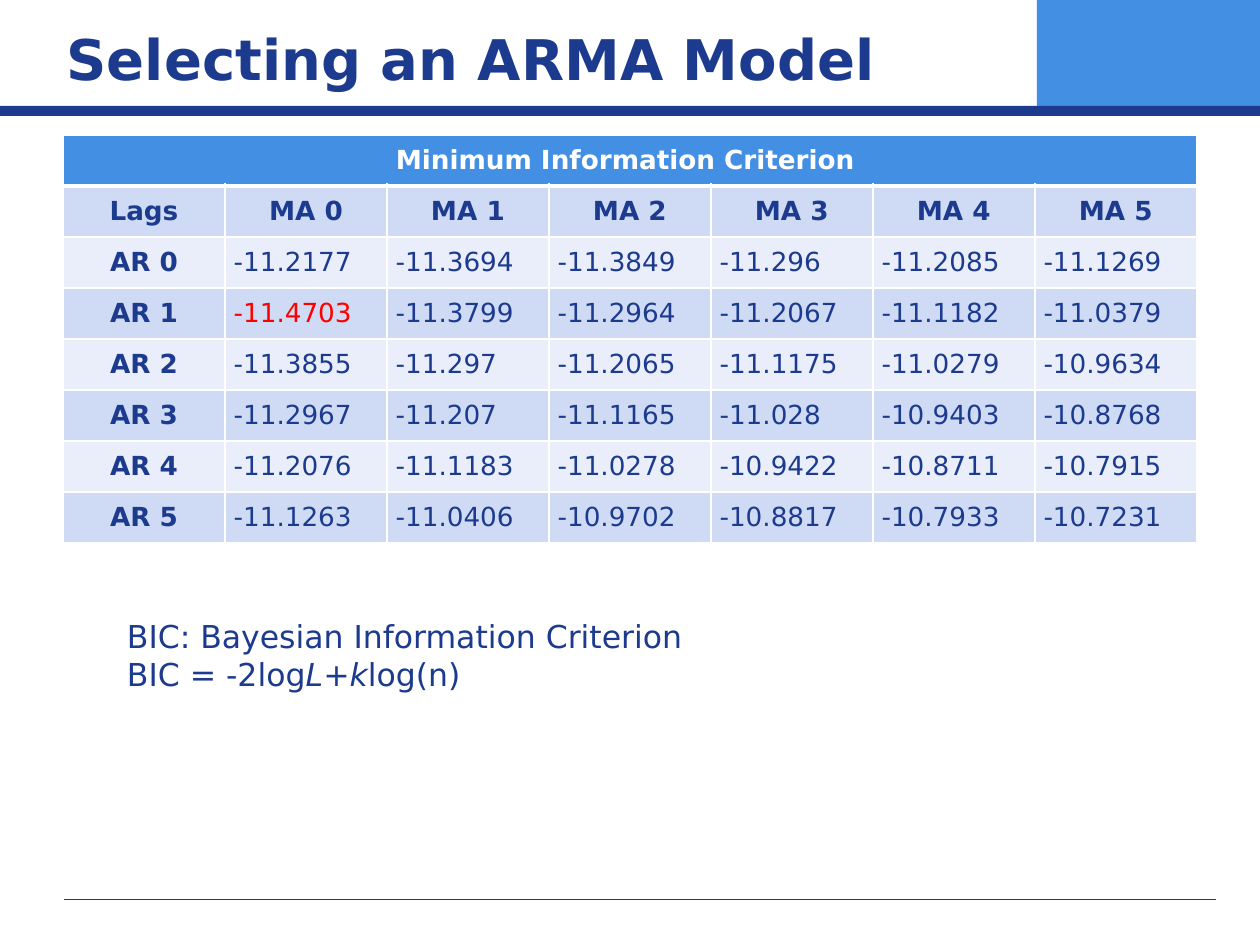
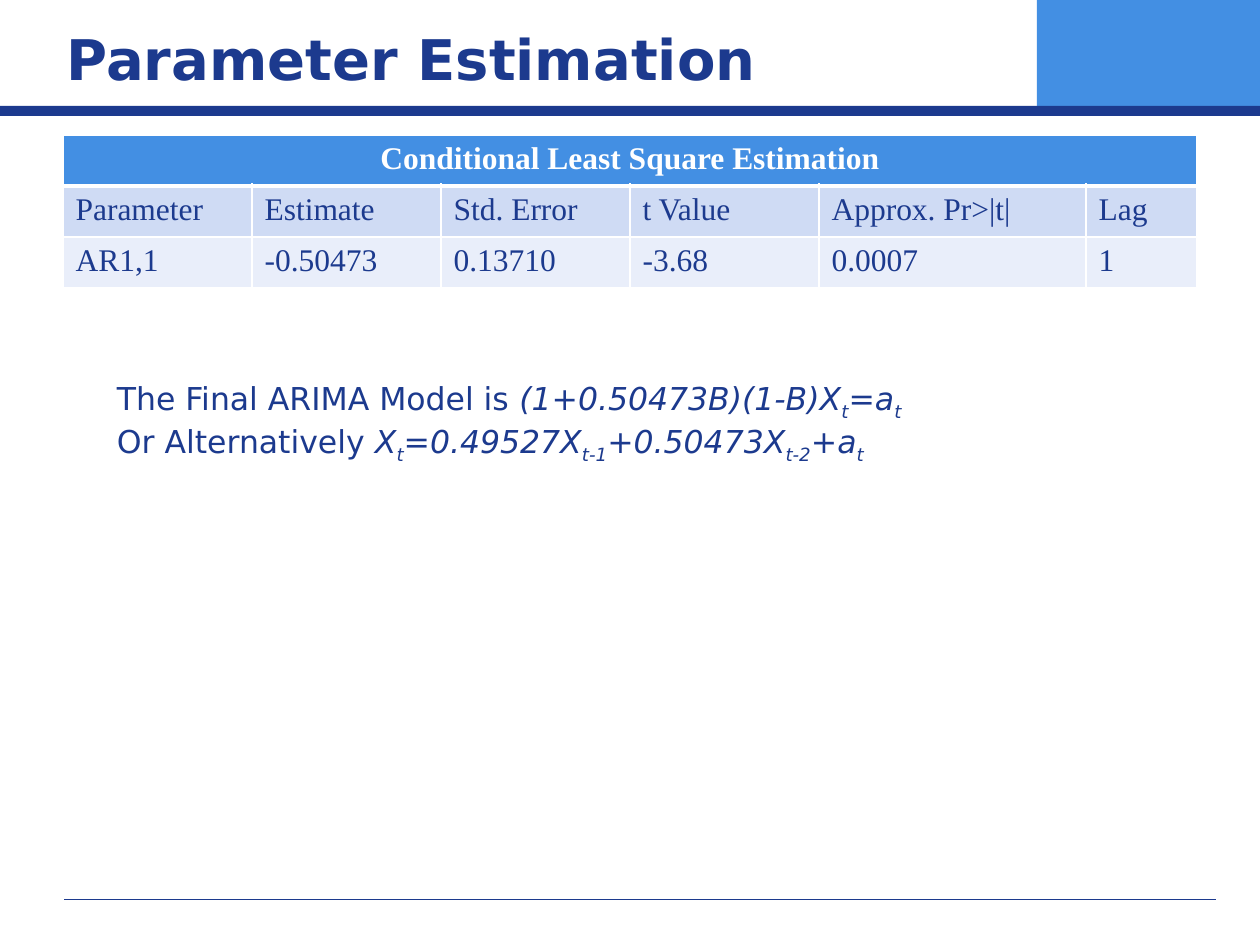
import lxml.etree
import pptx
import pptx.dml.color
import pptx.enum.shapes
import pptx.enum.text
import pptx.oxml.ns
import pptx.util

NAVY, BLUE, WHITE, RED = "1C3A8E", "438FE3", "FFFFFF", "FF0000"
BANDS = "CFDBF4", "E9EEFA"
SANS, SERIF = "DejaVu Sans", "Times New Roman"
ROW = 0.405

SLIDES = [
    {
        "title": "Selecting an ARMA Model",
        "head": "Minimum Information Criterion ",
        "rows": [
            ["Lags", "MA 0", "MA 1", "MA 2", "MA 3", "MA 4", "MA 5"],
            ["AR 0", "-11.2177", "-11.3694", "-11.3849", "-11.296", "-11.2085", "-11.1269"],
            ["AR 1", "-11.4703", "-11.3799", "-11.2964", "-11.2067", "-11.1182", "-11.0379"],
            ["AR 2", "-11.3855", "-11.297", "-11.2065", "-11.1175", "-11.0279", "-10.9634"],
            ["AR 3", "-11.2967", "-11.207", "-11.1165", "-11.028", "-10.9403", "-10.8768"],
            ["AR 4", "-11.2076", "-11.1183", "-11.0278", "-10.9422", "-10.8711", "-10.7915"],
            ["AR 5", "-11.1263", "-11.0406", "-10.9702", "-10.8817", "-10.7933", "-10.7231"],
        ],
        "cols": [9 / 7] * 7,
        "font": {"name": SANS, "size": 15},
        "best": "-11.4703",
        "labels": True,
        "cell": {"vertical_anchor": pptx.enum.text.MSO_ANCHOR.MIDDLE,
                 "margin_left": pptx.util.Inches(0.07),
                 "margin_right": pptx.util.Inches(0.07),
                 "margin_top": 0, "margin_bottom": 0},
        "para": {"space_before": pptx.util.Pt(5), "space_after": pptx.util.Pt(5)},
        "note": (0.91, 4.85, 4.76, 0.71),
        "lines": [
            [("BIC: Bayesian Information Criterion", "")],
            [("BIC = -2log", ""), ("L", "i"), ("+", ""), ("k", "i"), ("log(n)", "")],
        ],
    },
    {
        "title": "Parameter Estimation",
        "head": "Conditional Least Square Estimation",
        "rows": [
            ["Parameter", "Estimate", "Std. Error", "t Value", "Approx. Pr>|t|", "Lag"],
            ["AR1,1", "-0.50473", "0.13710", "-3.68", "0.0007", "1"],
        ],
        "cols": [1.5, 1.5, 1.5, 1.5, 2.12, 0.88],
        "font": {"name": SERIF, "size": 18},
        "best": None,
        "labels": False,
        "cell": {},
        "para": {},
        "note": (0.83, 2.96, 6.66, 0.71),
        "lines": [
            [("The Final ARIMA Model is ", ""), ("(1+0.50473B)(1-B)X", "i"),
             ("t", "is"), ("=a", "i"), ("t", "is")],
            [("Or Alternatively ", ""), ("X", "i"), ("t", "is"), ("=0.49527X", "i"),
             ("t-1", "is"), ("+0.50473X", "i"), ("t-2", "is"), ("+a", "i"), ("t", "is")],
        ],
    },
]


def rgb(code):
    return pptx.dml.color.RGBColor.from_string(code)


def place(*nums):
    return [pptx.util.Inches(n) for n in nums]


def apply(obj, vals):
    for key, val in vals.items():
        setattr(obj, key, val)


def paint(obj, code):
    obj.fill.solid()
    obj.fill.fore_color.rgb = rgb(code)


def write(para, text, color, name, size, **vals):
    run = para.add_run()
    run.text = text
    apply(run.font, {"name": name, "size": pptx.util.Pt(size), **vals})
    run.font.color.rgb = rgb(color)
    return run


def edge(cell, widths):
    props = cell._tc.get_or_add_tcPr()
    for spot, (side, width) in enumerate(widths.items()):
        line = lxml.etree.Element(pptx.oxml.ns.qn("a:ln" + side),
                                  w=str(pptx.util.Pt(width)))
        fill = lxml.etree.SubElement(line, pptx.oxml.ns.qn("a:solidFill"))
        lxml.etree.SubElement(fill, pptx.oxml.ns.qn("a:srgbClr"), val=WHITE)
        props.insert(spot, line)


def band(slide, box, color):
    shape = slide.shapes.add_shape(pptx.enum.shapes.MSO_SHAPE.RECTANGLE, *place(*box))
    shape.shadow.inherit = False
    paint(shape, color)
    shape.line.fill.background()


def frame(slide, title):
    band(slide, (8.23, 0, 1.77, 0.86), BLUE)
    rule = slide.shapes.add_connector(pptx.enum.shapes.MSO_CONNECTOR.STRAIGHT,
                                      *place(0.51, 7.14, 9.65, 7.14))
    rule.line.color.rgb = rgb(NAVY)
    rule.line.width = pptx.util.Pt(0.75)
    lxml.etree.SubElement(rule._element.spPr, pptx.oxml.ns.qn("a:effectLst"))
    band(slide, (0, 0.84, 10, 0.08), NAVY)
    text = slide.shapes.add_textbox(*place(0.43, 0.13, 7.88, 0.67)).text_frame
    apply(text, {"word_wrap": True, "vertical_anchor": pptx.enum.text.MSO_ANCHOR.MIDDLE})
    write(text.paragraphs[0], title, NAVY, SANS, 32, bold=True)


def grid(slide, data):
    rows = [[data["head"]] + [""] * (len(data["cols"]) - 1)] + data["rows"]
    box = place(0.5, 1.07, 9, ROW * len(rows))
    table = slide.shapes.add_table(len(rows), len(data["cols"]), *box).table
    for col, width in zip(table.columns, data["cols"]):
        col.width = pptx.util.Inches(width)
    for r, row in enumerate(rows):
        table.rows[r].height = pptx.util.Inches(ROW)
        for c, text in enumerate(row):
            cell = table.cell(r, c)
            apply(cell, data["cell"])
            paint(cell, BANDS[(r - 1) % 2] if r else BLUE)
            edge(cell, {"L": 1, "R": 1, "T": 3 if r == 1 else 1, "B": 1 if r else 3})
            if not text:
                continue
            para = cell.text_frame.paragraphs[0]
            apply(para, data["para"])
            strong = r == 0 or (data["labels"] and (r == 1 or c == 0))
            if strong:
                para.alignment = pptx.enum.text.PP_ALIGN.CENTER
            color = WHITE if r == 0 else RED if text == data["best"] else NAVY
            write(para, text, color, bold=strong, **data["font"])
    table.cell(0, 0).merge(table.cell(0, len(data["cols"]) - 1))


def note(slide, box, lines):
    text = slide.shapes.add_textbox(*place(*box)).text_frame
    apply(text, {"word_wrap": False,
                 "auto_size": pptx.enum.text.MSO_AUTO_SIZE.SHAPE_TO_FIT_TEXT})
    for n, line in enumerate(lines):
        para = text.add_paragraph() if n else text.paragraphs[0]
        for part, style in line:
            run = write(para, part, NAVY, SANS, 18, italic="i" in style)
            if "s" in style:
                run._r.get_or_add_rPr().set("baseline", "-25000")


def main():
    deck = pptx.Presentation()
    apply(deck, {"slide_width": pptx.util.Inches(10), "slide_height": pptx.util.Inches(7.5)})
    for data in SLIDES:
        slide = deck.slides.add_slide(deck.slide_layouts[6])
        frame(slide, data["title"])
        grid(slide, data)
        note(slide, data["note"], data["lines"])
    deck.save("out.pptx")


if __name__ == "__main__":
    main()
